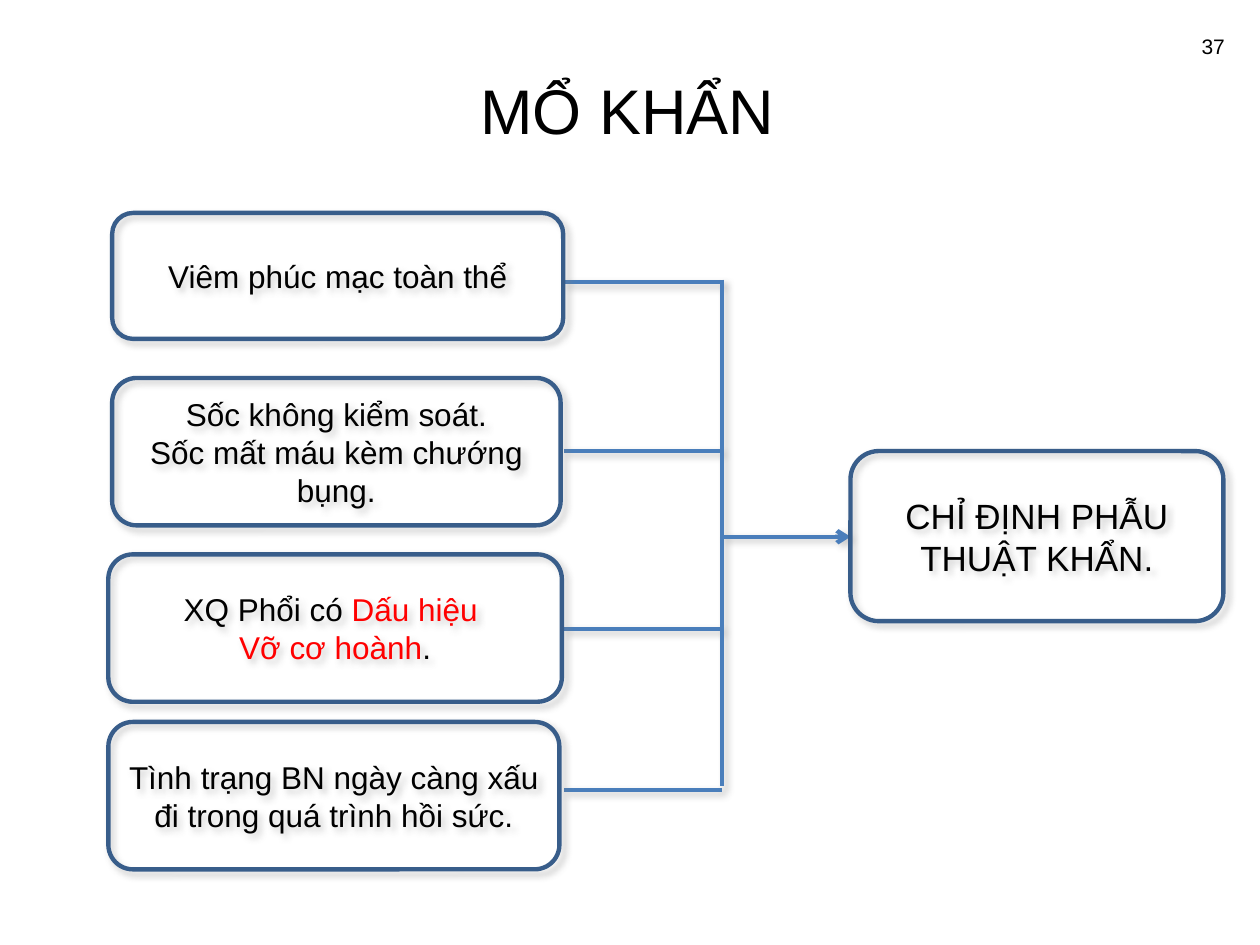
from lxml import etree
from pptx import Presentation
from pptx import util as u
from pptx.dml.color import RGBColor
from pptx.enum import shapes, text
from pptx.oxml import parse_xml
from pptx.oxml.ns import nsdecls, qn

COLORS = {
    "text": "000000",
    "alert": "FF0000",
    "border": "385D8A",
    "link": "4A7EBB",
    "shadow": "808080",
}
FONT = "Arial"
LINE_WIDTH = 2.5
TRUNK_X = 5.73

CAUSES = [
    ((0.89, 1.69, 3.58, 1), [[("Viêm phúc mạc toàn thể", "text")]]),
    ((0.89, 3, 3.56, 1.17), [
        [("Sốc không kiểm soát.", "text")],
        [("Sốc mất máu kèm chướng bụng.", "text")],
    ]),
    ((0.86, 4.4, 3.6, 1.17), [
        [("XQ Phổi có ", "text"), ("Dấu hiệu ", "alert"), None,
         ("Vỡ cơ hoành", "alert"), (".", "text")],
    ]),
    ((0.86, 5.73, 3.58, 1.17), [
        [("Tình trạng BN ngày càng xấu đi trong quá trình hồi sức.", "text")],
    ]),
]
BRANCHES = [2.24, 3.58, 4.99, 6.27]
DECISION = ((6.75, 3.58, 2.96, 1.35), [[("CHỈ ĐỊNH PHẪU THUẬT KHẨN.", "text")]])


def color(name):
    return RGBColor.from_string(COLORS[name])


def set_values(target, values):
    for name, value in values.items():
        setattr(target, name, value)


def add_shadow(shape):
    shape._element.spPr.append(parse_xml(
        f'<a:effectLst {nsdecls("a")}>'
        f'<a:outerShdw blurRad="{u.Pt(4)}" dist="{u.Pt(3)}" dir="2700000" '
        f'algn="tl" rotWithShape="0"><a:srgbClr val="{COLORS["shadow"]}">'
        '<a:alpha val="40000"/></a:srgbClr></a:outerShdw></a:effectLst>'
    ))


def set_line(line, name):
    line.color.rgb = color(name)
    line.width = u.Pt(LINE_WIDTH)


def write_text(frame, paragraphs, size, alignment=text.PP_ALIGN.CENTER):
    set_values(frame, {"word_wrap": True, "vertical_anchor": text.MSO_ANCHOR.MIDDLE})
    for index, pieces in enumerate(paragraphs):
        paragraph = frame.add_paragraph() if index else frame.paragraphs[0]
        paragraph.alignment = alignment
        for piece in pieces:
            if piece is None:
                paragraph.add_line_break()
                continue
            run = paragraph.add_run()
            run.text, color_name = piece
            set_values(run.font, {"name": FONT, "size": u.Pt(size)})
            run.font.color.rgb = color(color_name)


def add_title(slide, box):
    title = slide.shapes.title
    names = ("left", "top", "width", "height")
    set_values(title, dict(zip(names, map(u.Inches, box))))
    write_text(title.text_frame, [[("MỔ KHẨN", "text")]], 36)


def add_page_number(slide, box):
    textbox = slide.shapes.add_textbox(*map(u.Inches, box))
    write_text(textbox.text_frame, [[("37", "text")]], 12, text.PP_ALIGN.RIGHT)


def add_card(slide, box, paragraphs, size):
    card = slide.shapes.add_shape(
        shapes.MSO_SHAPE.ROUNDED_RECTANGLE, *map(u.Inches, box))
    card.fill.background()
    set_line(card.line, "border")
    add_shadow(card)
    write_text(card.text_frame, paragraphs, size)


def add_link(slide, start, end, arrow=False):
    link = slide.shapes.add_connector(
        shapes.MSO_CONNECTOR.STRAIGHT, *map(u.Inches, (*start, *end)))
    set_line(link.line, "link")
    if arrow:
        outline = link._element.spPr.find(qn("a:ln"))
        etree.SubElement(outline, qn("a:tailEnd"), type="arrow")
    add_shadow(link)


def add_bracket(slide, left, right, arrow_y):
    for y in BRANCHES:
        add_link(slide, (left, y), (TRUNK_X, y))
    add_link(slide, (TRUNK_X, 2.22), (TRUNK_X, 6.24))
    add_link(slide, (TRUNK_X, arrow_y), (right, arrow_y), arrow=True)


def main():
    presentation = Presentation()
    set_values(presentation, {
        "slide_width": u.Inches(10), "slide_height": u.Inches(7.5)})
    slide = presentation.slides.add_slide(
        presentation.slide_layouts.get_by_name("Title Only"))
    add_title(slide, (0.48, 0.28, 9, 1.17))
    add_page_number(slide, (8.99, 0.17, 0.83, 0.4))
    add_bracket(slide, 4.48, DECISION[0][0], 4.26)
    for box, paragraphs in CAUSES:
        add_card(slide, box, paragraphs, 18)
    add_card(slide, *DECISION, 20)
    presentation.save("out.pptx")


if __name__ == "__main__":
    main()
